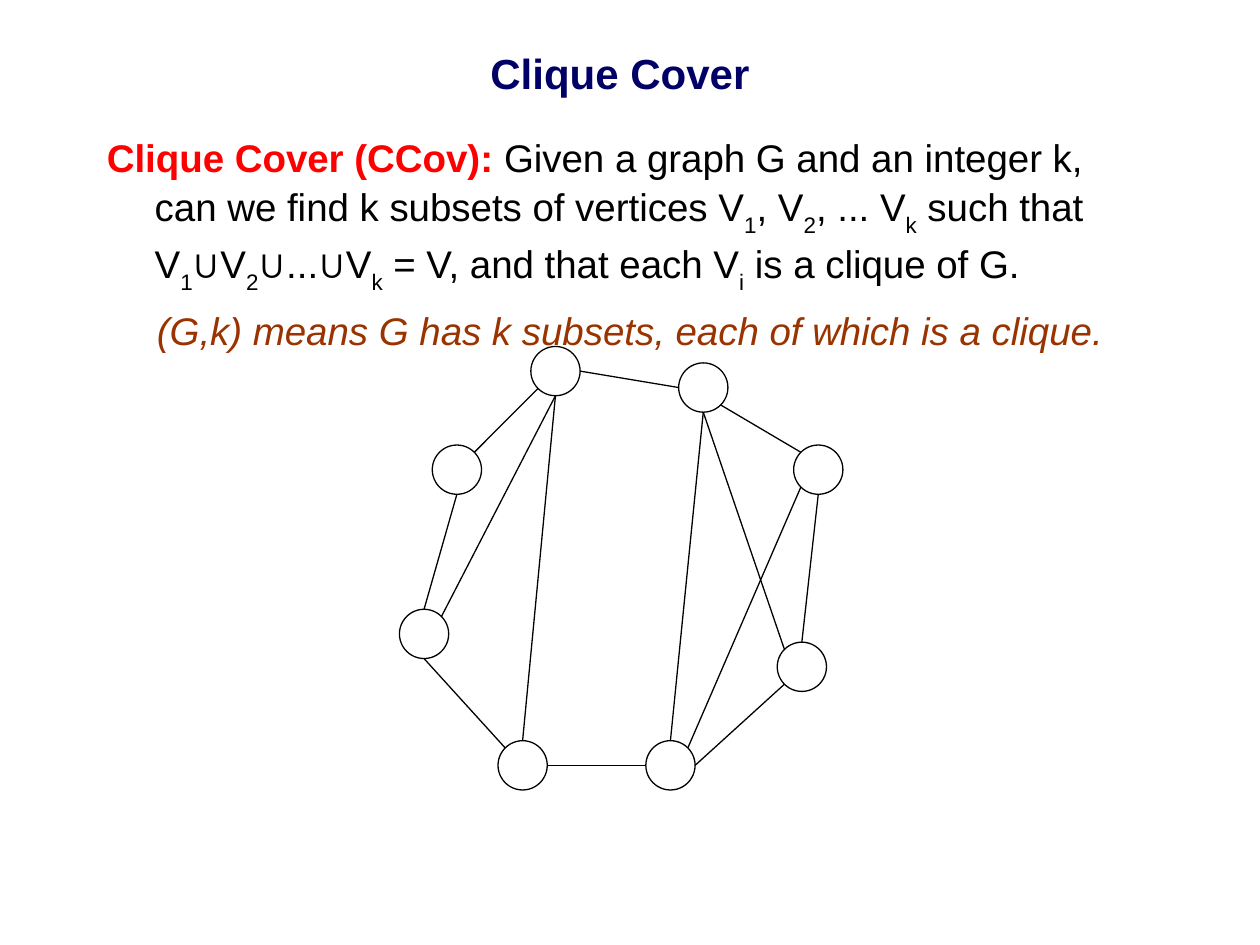
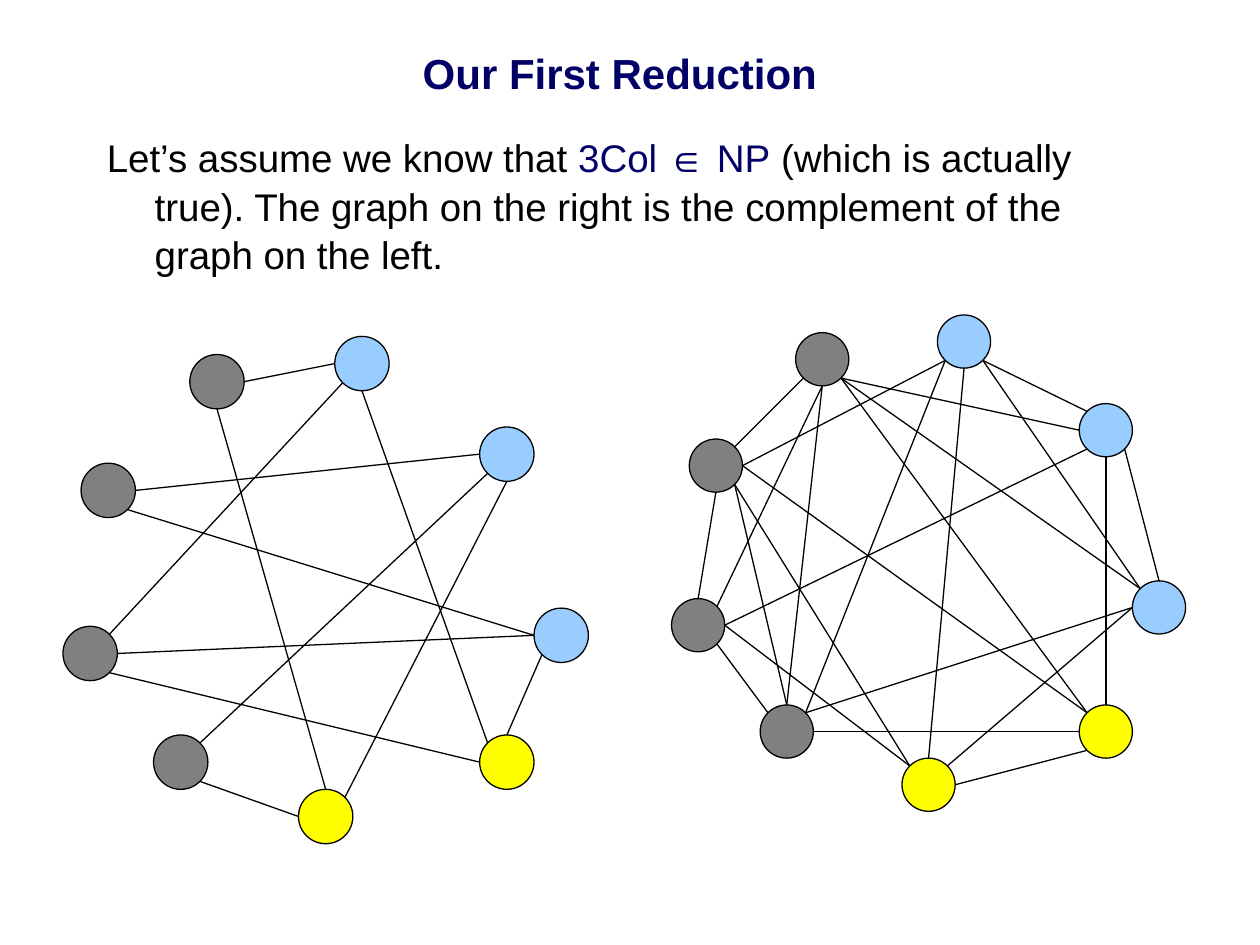
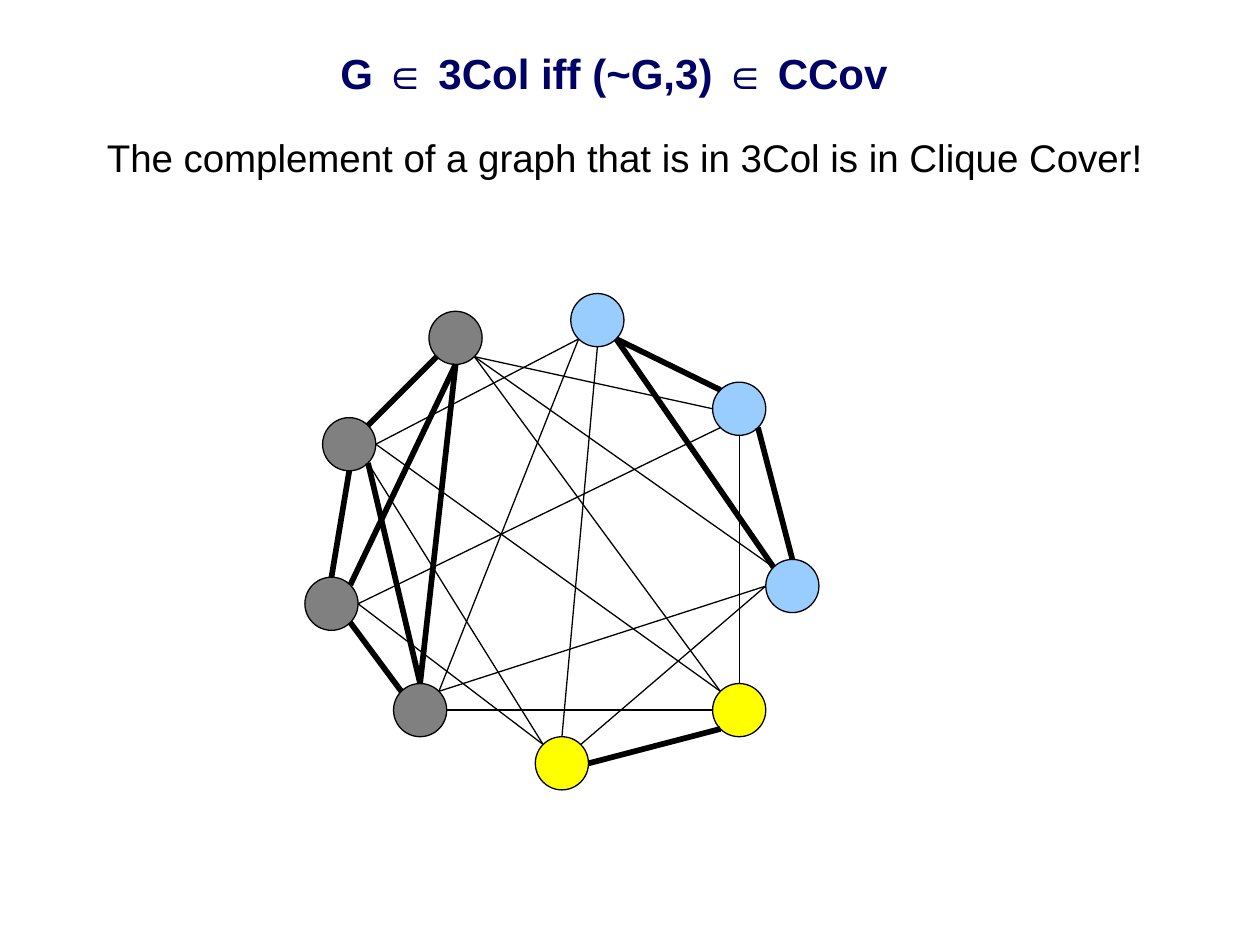
import dataclasses

import lxml.etree
import pptx
import pptx.dml.color
import pptx.enum.shapes
import pptx.enum.text
import pptx.oxml.ns
import pptx.util

Inches = pptx.util.Inches
Pt = pptx.util.Pt
RGB = pptx.dml.color.RGBColor.from_string


@dataclasses.dataclass(frozen=True)
class Theme:
    font: str = "Arial"
    navy: str = "000066"
    black: str = "000000"
    white: str = "FFFFFF"
    red: str = "FF0000"
    brown: str = "993300"
    gray: str = "808080"
    yellow: str = "FFFF00"
    blue: str = "99CCFF"
    title_size: float = 24
    body_size: float = 22
    space_before: float = 5.5
    line_spacing: float = 1.05
    thin: float = 0.75
    thick: float = 3.25


THEME = Theme()
NODE_UNITS = 3
DIAGONAL = 0.5 ** 0.5
SITES = {
    "n": (0, -1), "s": (0, 1), "w": (-1, 0), "e": (1, 0),
    "nw": (-DIAGONAL, -DIAGONAL), "ne": (DIAGONAL, -DIAGONAL),
    "sw": (-DIAGONAL, DIAGONAL), "se": (DIAGONAL, DIAGONAL),
}

COVER_NODES = {
    "a": (8, 0, THEME.white), "b": (2, 6, THEME.white),
    "c": (0, 16, THEME.white), "d": (6, 24, THEME.white),
    "e": (15, 24, THEME.white), "f": (23, 18, THEME.white),
    "g": (24, 6, THEME.white), "h": (17, 1, THEME.white),
}
COVER_EDGES = """
    a.sw-b.ne h.se-g.nw a.e-h.w e.e-f.sw f.n-g.s c.n-b.s d.e-e.w
    c.s-d.nw d.n-a.s a.s-c.ne h.s-e.n h.s-f.nw g.sw-e.ne
"""

COLOR_NODES = {
    "a": (7, 1, THEME.gray), "b": (1, 7, THEME.gray),
    "c": (0, 16, THEME.gray), "d": (5, 22, THEME.gray),
    "e": (13, 25, THEME.yellow), "f": (23, 22, THEME.yellow),
    "g": (26, 15, THEME.blue), "h": (23, 5, THEME.blue),
    "i": (15, 0, THEME.blue),
}
COLOR_EDGES = """
    a.s-e.n i.s-f.nw g.w-c.e b.e-h.w a.e-i.w f.n-g.sw
    g.w-b.se c.ne-i.sw c.se-f.w d.ne-h.sw d.se-e.w h.s-e.ne
"""
COMPLEMENT_EDGES = """
    b.ne-a.sw b.s-c.n c.se-d.nw e.e-f.sw g.n-h.se i.se-h.nw
    a.se-h.w a.se-g.nw a.se-f.nw a.s-d.n b.se-d.n d.ne-i.sw
    d.ne-g.w d.e-f.w b.e-i.sw b.e-f.nw b.se-e.nw c.e-h.sw
    c.ne-a.s c.e-e.nw e.ne-g.w e.n-i.s f.n-h.s i.se-g.nw
"""


class Deck:
    def __init__(self, theme):
        self.theme = theme
        self.prs = pptx.Presentation()
        self.prs.slide_width = Inches(10)
        self.prs.slide_height = Inches(7.5)
        self.s = None

    def slide(self, title):
        self.s = self.prs.slides.add_slide(self.prs.slide_layouts[5])
        sp = self.s.shapes.title
        sp.left, sp.top = Inches(0.67), Inches(0.33)
        sp.width, sp.height = Inches(8.5), Inches(0.5)
        tf = sp.text_frame
        tf.auto_size = pptx.enum.text.MSO_AUTO_SIZE.NONE
        tf.vertical_anchor = pptx.enum.text.MSO_ANCHOR.MIDDLE
        p = tf.paragraphs[0]
        p.text = title
        p.alignment = pptx.enum.text.PP_ALIGN.CENTER
        self.font(p, self.theme.title_size)
        p.font.bold = True
        p.font.color.rgb = RGB(self.theme.navy)

    def font(self, p, size):
        p.font.name = self.theme.font
        p.font.size = Pt(size)

    def body(self, height):
        sp = self.s.shapes.add_textbox(Inches(0.75), Inches(1), Inches(8.5), Inches(height))
        tf = sp.text_frame
        tf.word_wrap = True
        return tf

    def paragraph(self, p, runs):
        indent = Inches(0.38)
        pPr = p._p.get_or_add_pPr()
        pPr.set("marL", str(indent))
        pPr.set("indent", str(-indent))
        p.line_spacing = self.theme.line_spacing
        self.font(p, self.theme.body_size)
        for text, color, bold in runs:
            head, *tails = text.split("_")
            self.run(p, head, color, bold)
            for tail in tails:
                r = self.run(p, tail[0], color, bold)
                r.font._element.set("baseline", "-30000")
                self.run(p, tail[1:], color, bold)

    def run(self, p, text, color, bold):
        r = p.add_run()
        r.text = text
        r.font.color.rgb = RGB(color)
        r.font.bold = bold
        return r

    def node(self, shapes, x, y, size, color):
        sp = shapes.add_shape(
            pptx.enum.shapes.MSO_SHAPE.OVAL, Inches(x), Inches(y), Inches(size), Inches(size))
        sp.shadow.inherit = False
        sp.fill.solid()
        sp.fill.fore_color.rgb = RGB(color)
        sp.line.color.rgb = RGB(self.theme.black)
        sp.line.width = Pt(self.theme.thin)

    def edge(self, shapes, start, end, weight):
        line = shapes.add_connector(
            pptx.enum.shapes.MSO_CONNECTOR.STRAIGHT, *map(Inches, start + end))
        line.line.color.rgb = RGB(self.theme.black)
        line.line.width = Pt(weight)
        lxml.etree.SubElement(line._element.spPr, pptx.oxml.ns.qn("a:effectLst"))

    def graph(self, left, top, width, nodes, edges, mark_cliques=False):
        unit = width / (max(x for x, _, _ in nodes.values()) + NODE_UNITS)
        radius = NODE_UNITS / 2
        shapes = self.s.shapes.add_group_shape().shapes

        def site(end):
            name, direction = end.split(".")
            x, y, _ = nodes[name]
            dx, dy = SITES[direction]
            return (left + unit * (x + radius * (1 + dx)),
                    top + unit * (y + radius * (1 + dy)))

        for x, y, color in nodes.values():
            self.node(shapes, left + unit * x, top + unit * y, unit * NODE_UNITS, color)
        for edge in edges.split():
            start, end = edge.split("-")
            same_color = nodes[start[0]][2] == nodes[end[0]][2]
            weight = self.theme.thick if mark_cliques and same_color else self.theme.thin
            self.edge(shapes, site(start), site(end), weight)


def clique_cover(deck):
    t = deck.theme
    deck.slide("Clique Cover")
    tf = deck.body(5.67)
    deck.paragraph(tf.paragraphs[0], [
        ("Clique Cover (CCov): ", t.red, True),
        ("Given a graph G and an integer k, can we find k subsets of vertices "
         "V_1, V_2, ... V_k such that V_1∪V_2∪...∪V_k = V, "
         "and that each V_i is a clique of G.", t.black, False),
    ])
    p = tf.add_paragraph()
    deck.paragraph(p, [
        ("(G,k) means G has k subsets, each of which is a clique.", t.brown, False)])
    p.alignment = pptx.enum.text.PP_ALIGN.CENTER
    p.space_before = Pt(t.space_before)
    p.font.italic = True
    deck.graph(3.17, 2.75, 3.52, COVER_NODES, COVER_EDGES)


def first_reduction(deck):
    t = deck.theme
    deck.slide("Our First Reduction")
    deck.paragraph(deck.body(1.25).paragraphs[0], [
        ("Let’s assume we know that ", t.black, False),
        ("3Col ∈ NP", t.navy, False),
        (" (which is actually true). The graph on the right is the complement "
         "of the graph on the left.", t.black, False),
    ])
    deck.graph(5.33, 2.5, 4.08, COLOR_NODES, COMPLEMENT_EDGES)
    deck.graph(0.5, 2.67, 4.17, COLOR_NODES, COLOR_EDGES)


def equivalence(deck):
    deck.slide("G ∈ 3Col iff (~G,3) ∈ CCov ")
    deck.paragraph(deck.body(1).paragraphs[0], [
        ("The complement of a graph that is in 3Col is in Clique Cover!",
         deck.theme.black, False)])
    deck.graph(2.42, 2.33, 4.08, COLOR_NODES, COMPLEMENT_EDGES, mark_cliques=True)


def main():
    deck = Deck(THEME)
    clique_cover(deck)
    first_reduction(deck)
    equivalence(deck)
    deck.prs.save("out.pptx")


if __name__ == "__main__":
    main()
